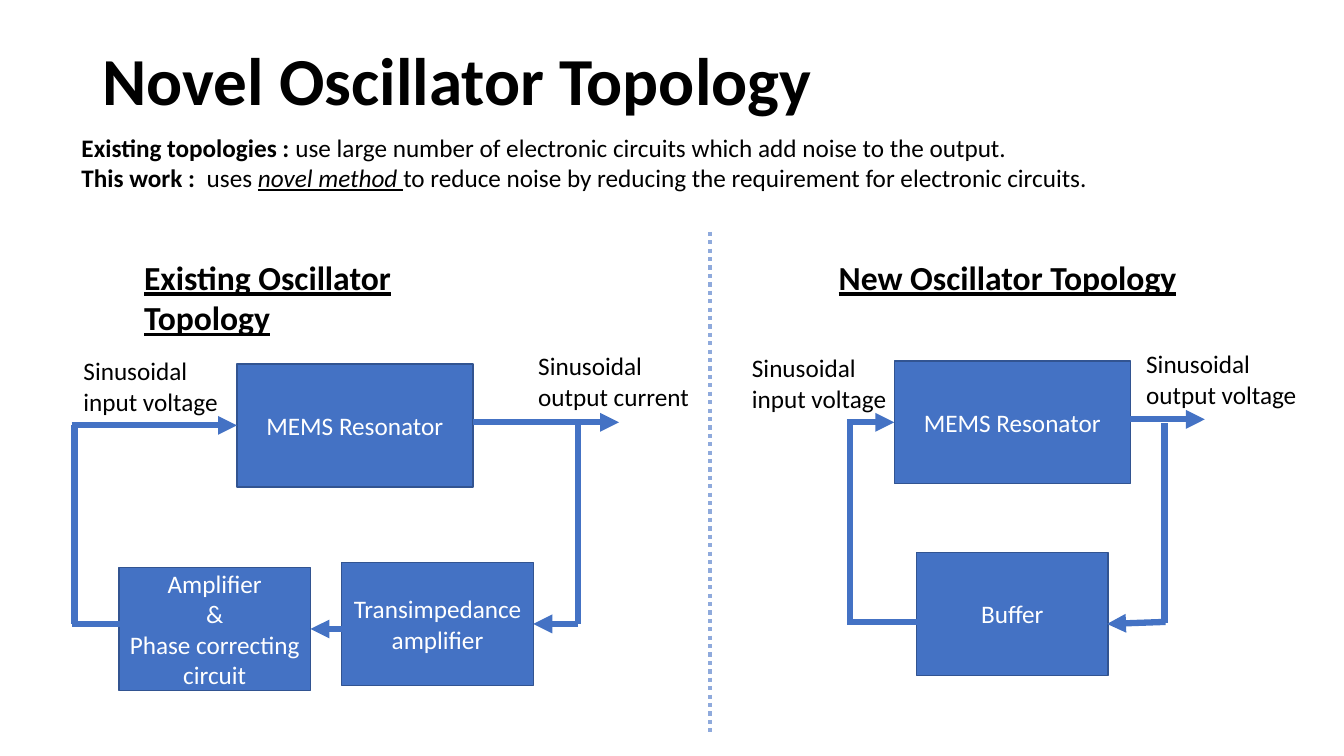
"""Build the slide that compares existing and new oscillator topologies."""
from lxml import etree
from pptx import Presentation
from pptx import util as u
from pptx.dml.color import RGBColor
from pptx.enum import dml, shapes, text
from pptx.oxml.ns import qn

THEME = {
    "font": "Calibri", "title": 48, "heading": 24, "body": 18,
    "ink": RGBColor(0x00, 0x00, 0x00), "paper": RGBColor(0xFF, 0xFF, 0xFF),
    "block": RGBColor(0x44, 0x72, 0xC4), "edge": RGBColor(0x32, 0x54, 0x91),
    "divider": RGBColor(0x8F, 0xAA, 0xDC),
    "wire_width": u.Pt(4.5), "edge_width": u.Pt(1), "divider_width": u.Pt(3),
}
CELL = u.Inches(0.1)

deck = Presentation()
deck.slide_width, deck.slide_height = u.Inches(13.33), u.Inches(7.5)
page = deck.slides.add_slide(deck.slide_layouts[6])


def write(box, paragraphs, size, color, align, anchor, **style):
    """Fill a box with paragraphs, each a list of (words, run format) pairs."""
    frame = box.text_frame
    frame.word_wrap = True
    frame.vertical_anchor = anchor
    for index, spans in enumerate(paragraphs):
        para = frame.paragraphs[0] if index == 0 else frame.add_paragraph()
        para.alignment = align
        for words, extra in spans:
            span = para.add_run()
            span.text = words
            span.font.color.rgb = color
            values = {"name": THEME["font"], "size": u.Pt(THEME[size]), **style, **extra}
            for name, value in values.items():
                setattr(span.font, name, value)


def connect(start, end, color, width, arrow=False):
    """Draw a straight line between two grid points."""
    line = page.shapes.add_connector(
        shapes.MSO_CONNECTOR.STRAIGHT, *(int(CELL * n) for n in (*start, *end)))
    line.line.color.rgb = THEME[color]
    line.line.width = THEME[width]
    if arrow:
        etree.SubElement(line.line._get_or_add_ln(), qn("a:tailEnd"), type="triangle")
    etree.SubElement(line._element.spPr, qn("a:effectLst"))
    return line


LEFT, CENTER, JUSTIFY = text.PP_ALIGN.LEFT, text.PP_ALIGN.CENTER, text.PP_ALIGN.JUSTIFY
TOP, MIDDLE = text.MSO_ANCHOR.TOP, text.MSO_ANCHOR.MIDDLE
BOLD = {"bold": True}

summary = [
    [("Existing topologies : ", BOLD),
     ("use large number of electronic circuits which add noise to the output.", {})],
    [("This work :  ", BOLD), ("uses ", {}),
     ("novel method ", {"italic": True, "underline": True}),
     ("to reduce noise by reducing the requirement for electronic circuits.", {})],
]
heading_style = {"bold": True, "underline": True}
texts = [
    ((9.2, 0.6, 115, 14.5), [[("Novel Oscillator Topology", {})]], "title", LEFT, MIDDLE, BOLD),
    ((7.1, 12.6, 117.1, 7.1), summary, "body", JUSTIFY, TOP, {}),
    ((13.3, 25, 39.5, 5), [[("Existing Oscillator Topology", {})]],
     "heading", LEFT, TOP, heading_style),
    ((82.2, 25, 36.2, 5), [[("New Oscillator Topology", {})]],
     "heading", LEFT, TOP, heading_style),
]
labels = [
    (7.3, 34.8, "Sinusoidal input voltage"), (52.4, 34.3, "Sinusoidal output current"),
    (73.6, 34.5, "Sinusoidal input voltage"), (112.7, 34.1, "Sinusoidal output voltage"),
]
texts += [((column, row, 18, 7.1), [[(words, {})]], "body", LEFT, TOP, {})
          for column, row, words in labels]

for area, paragraphs, size, align, anchor, style in texts:
    box = page.shapes.add_textbox(*(int(CELL * n) for n in area))
    write(box, paragraphs, size, THEME["ink"], align, anchor, **style)

BLOCK_ROWS = 12.2
blocks = {
    "resonator": (23.5, 36.1, 23.4, ["MEMS Resonator"]),
    "new resonator": (88.7, 35.8, 23.4, ["MEMS Resonator"]),
    "transimpedance": (33.9, 55.8, 19, ["Transimpedance amplifier"]),
    "amplifier": (11.8, 56.3, 19, ["Amplifier", "&", "Phase correcting circuit"]),
    "buffer": (90.9, 54.8, 19, ["Buffer"]),
}
drawn = {}
for name, (column, row, columns, lines) in blocks.items():
    block = page.shapes.add_shape(
        shapes.MSO_SHAPE.RECTANGLE, *(int(CELL * n) for n in (column, row, columns, BLOCK_ROWS)))
    block.shadow.inherit = False
    block.fill.solid()
    block.fill.fore_color.rgb = THEME["block"]
    block.line.color.rgb = THEME["edge"]
    block.line.width = THEME["edge_width"]
    write(block, [[(words, {})] for words in lines], "body", THEME["paper"], CENTER, MIDDLE)
    drawn[name] = block

wires = [
    ((57.3, 42.1), (57.3, 61.9)), ((7.4, 42.2), (7.4, 61.9)), ((12, 61.9), (7.1, 61.9)),
    ((115.5, 42), (115.5, 61.8)), ((84.3, 41.9), (84.3, 61.7)), ((91.6, 61.7), (84, 61.7)),
]
for start, end in wires:
    connect(start, end, "block", "wire_width")

arrows = [
    ((7.1, 42.2), (23.5, 42.2), "resonator", 1),
    ((46.9, 41.9), (61.4, 41.9), None, None),
    ((84, 41.9), (88.7, 41.9), "new resonator", 1),
    ((112.1, 41.6), (119.5, 41.6), None, None),
    ((57.3, 61.9), (52.9, 61.9), "transimpedance", 3),
    ((35.6, 62.4), (30.8, 62.4), "amplifier", 3),
    ((115.6, 61.7), (109.8, 61.9), None, None),
]
for start, end, target, side in arrows:
    arrow = connect(start, end, "block", "wire_width", arrow=True)
    if target:
        arrow.end_connect(drawn[target], side)

divider = connect((70.4, 23), (70.4, 72.6), "divider", "divider_width")
divider.line.dash_style = dml.MSO_LINE.ROUND_DOT

deck.save("out.pptx")
